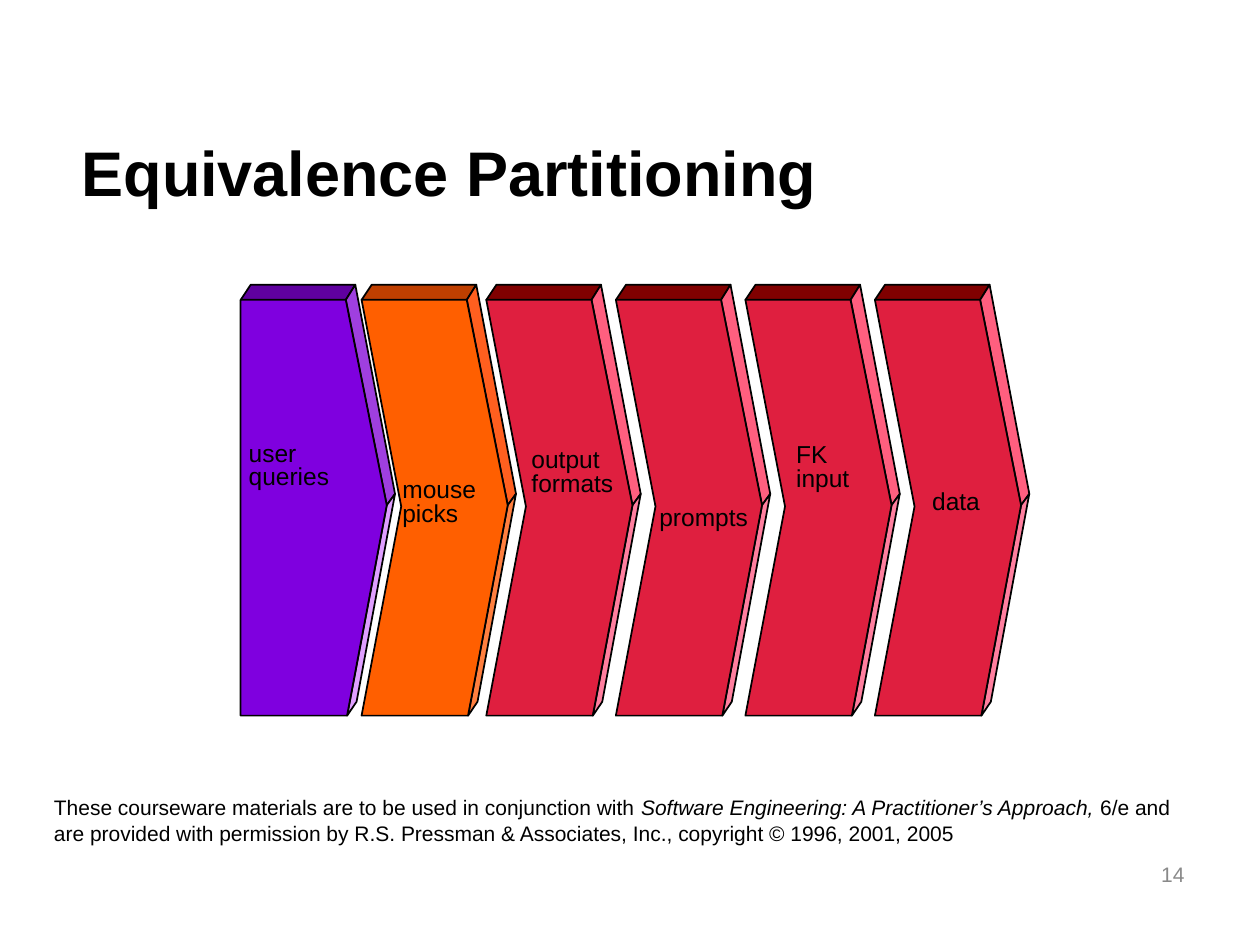
import dataclasses

import pptx
import pptx.dml.color
import pptx.enum.text
import pptx.util

ANCHOR = pptx.enum.text.MSO_ANCHOR
ALIGN = pptx.enum.text.PP_ALIGN
AUTO = pptx.enum.text.MSO_AUTO_SIZE
COLUMNS, ROWS = 100, 75


@dataclasses.dataclass(frozen=True)
class Theme:
    font: str = "Arial"
    text: str = "000000"
    muted: str = "898989"
    outline: str = "000000"
    outline_size: float = 1
    title_size: int = 36
    label_size: int = 14
    small_size: int = 12
    purple: tuple = ("5F009F", "9F3FDF", "DF9FFF", "7F00DF")
    orange: tuple = ("BF3F00", "FF5F1F", "FF7F3F", "FF5F00")
    red: tuple = ("800000", "FF5F7F", "FF7F9F", "DF1F3F")


class Deck:
    def __init__(self, theme):
        self.theme = theme
        self.prs = pptx.Presentation()
        self.prs.slide_width = pptx.util.Inches(10)
        self.prs.slide_height = pptx.util.Inches(7.5)
        self.s = self.prs.slides.add_slide(self.prs.slide_layouts[6])

    def x(self, columns):
        return round(self.prs.slide_width * columns / COLUMNS)

    def y(self, rows):
        return round(self.prs.slide_height * rows / ROWS)

    def color(self, value):
        return pptx.dml.color.RGBColor.from_string(value)

    def style_run(self, r, size, color, bold=False, italic=False):
        r.font.name = self.theme.font
        r.font.size = pptx.util.Pt(size)
        r.font.color.rgb = self.color(color)
        r.font.bold = bold
        r.font.italic = italic

    def text_box(self, box, text, size, color=None, bold=False,
                 align=ALIGN.LEFT, anchor=ANCHOR.TOP, wrap=True):
        left, top, width, height = box
        sp = self.s.shapes.add_textbox(
            self.x(left), self.y(top), self.x(width), self.y(height))
        tf = sp.text_frame
        tf.word_wrap = wrap
        tf.vertical_anchor = anchor
        tf.text = text
        for p in tf.paragraphs:
            p.alignment = align
            for r in p.runs:
                self.style_run(r, size, color or self.theme.text, bold)
        return tf

    def credit(self, box, parts):
        tf = self.text_box(box, "", self.theme.small_size)
        for text, italic in parts:
            r = tf.paragraphs[0].add_run()
            r.text = text
            self.style_run(r, self.theme.small_size, self.theme.text, italic=italic)

    def label(self, left, top, width, text):
        lines = text.count("\n") + 1
        box = (left, top, width, 0.95 + 1.87 * lines)
        tf = self.text_box(box, text, self.theme.label_size, wrap=False)
        tf.auto_size = AUTO.SHAPE_TO_FIT_TEXT
        for p in tf.paragraphs:
            p.line_spacing = 0.8

    def polygon(self, shapes, points, fill):
        points = [(self.x(column), self.y(row)) for column, row in points]
        builder = shapes.build_freeform(*points[0])
        builder.add_line_segments(points[1:], close=True)
        sp = builder.convert_to_shape()
        sp.shadow.inherit = False
        sp.fill.solid()
        sp.fill.fore_color.rgb = self.color(fill)
        sp.line.color.rgb = self.color(self.theme.outline)
        sp.line.width = pptx.util.Pt(self.theme.outline_size)

    def block(self, left, colors, notched=True):
        top_left, top_right = (left, 23.8), (left + 8.35, 23.8)
        back_left, back_right = (left + 0.8, 22.6), (left + 9.1, 22.6)
        tip, back_tip = (left + 11.6, 40.1), (left + 12.25, 39.2)
        foot_left, foot_right = (left, 56.8), (left + 8.45, 56.8)
        back_foot = (left + 9.2, 55.7)
        notch = [(left + 3.15, 40.2)] if notched else []
        faces = [
            [top_right, top_left, back_left, back_right],
            [back_right, top_right, tip, back_tip],
            [back_tip, tip, foot_right, back_foot],
            [top_right, top_left, *notch, foot_left, foot_right, tip],
        ]
        group = self.s.shapes.add_group_shape()
        for points, fill in zip(faces, colors):
            self.polygon(group.shapes, points, fill)


def main():
    theme = Theme()
    deck = Deck(theme)
    deck.credit((3.3, 62.6, 91.7, 4), [
        ("These courseware materials are to be used in conjunction with ", False),
        ("Software Engineering: A Practitioner’s Approach,", True),
        (" 6/e and are provided with permission by R.S. Pressman & Associates, "
         "Inc., copyright © 1996, 2001, 2005", False),
    ])
    deck.text_box((71.7, 67.4, 23.3, 4), "14", theme.small_size, theme.muted,
                  align=ALIGN.RIGHT, anchor=ANCHOR.MIDDLE)
    deck.text_box((5.5, 10.8, 83, 5.6), "Equivalence Partitioning",
                  theme.title_size, bold=True, anchor=ANCHOR.MIDDLE)

    deck.block(19.1, theme.purple, notched=False)
    deck.block(28.7, theme.orange)
    for i in range(4):
        deck.block(38.6 + 10.28 * i, theme.red)

    for left, top, width, text in [
        (18.75, 34.7, 8.6, "user\nqueries"),
        (30.95, 37.6, 8.1, "mouse\npicks"),
        (41.2, 35.2, 8.7, "output\nformats"),
        (51.35, 39.8, 9.3, "prompts"),
        (62.2, 34.8, 6.4, "FK\ninput"),
        (73, 38.5, 6, "data"),
    ]:
        deck.label(left, top, width, text)
    deck.prs.save("out.pptx")


if __name__ == "__main__":
    main()
